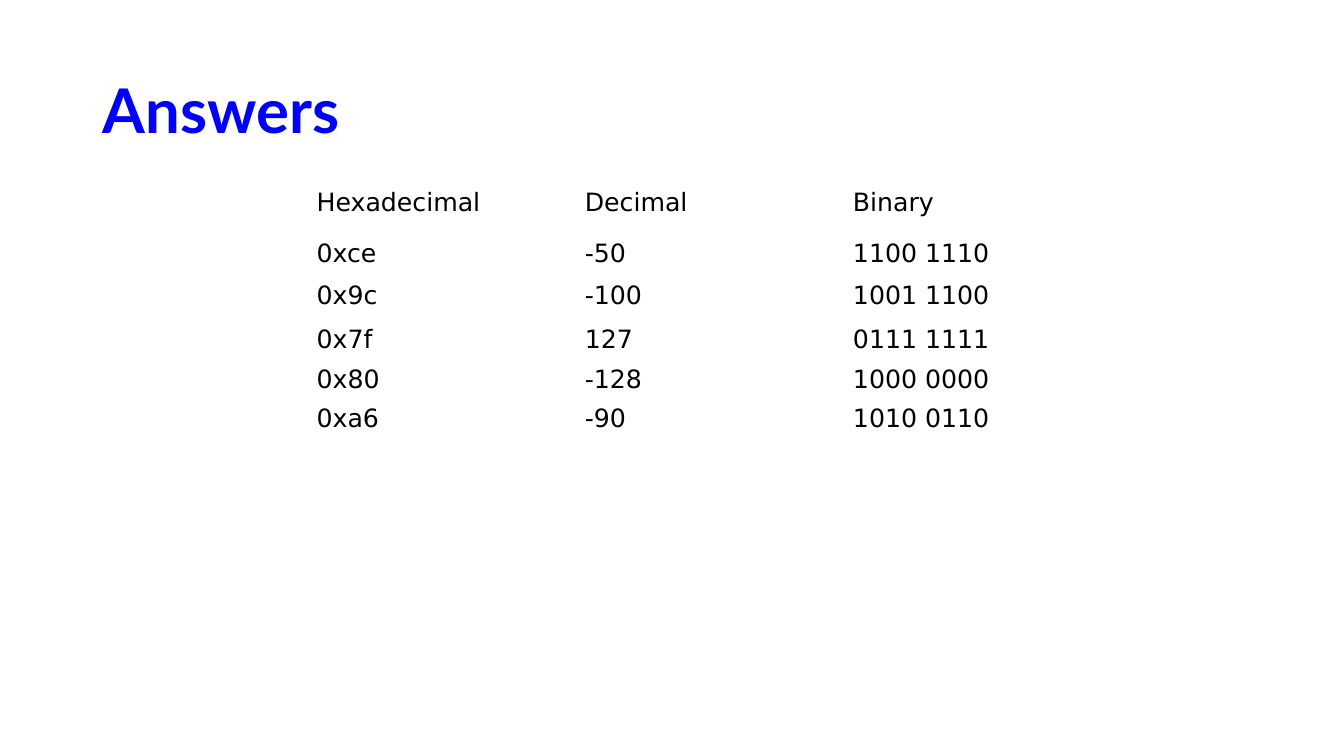
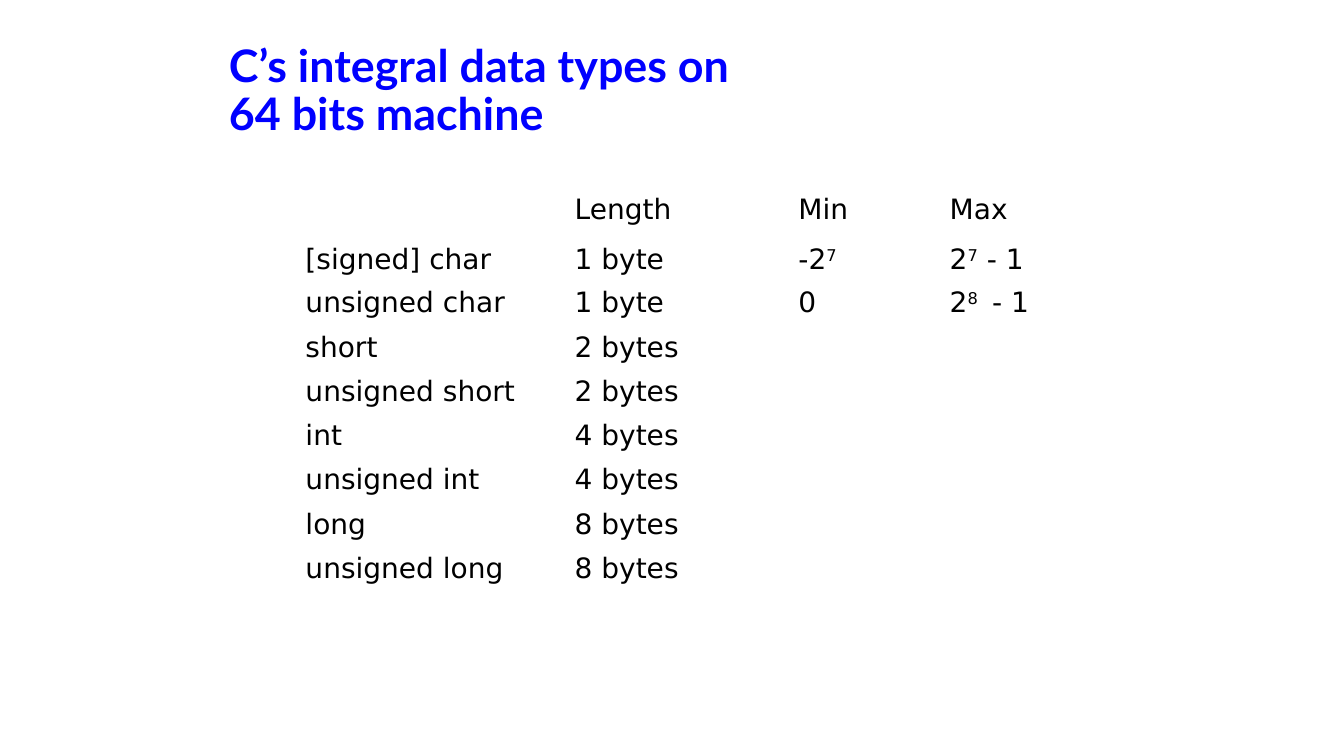
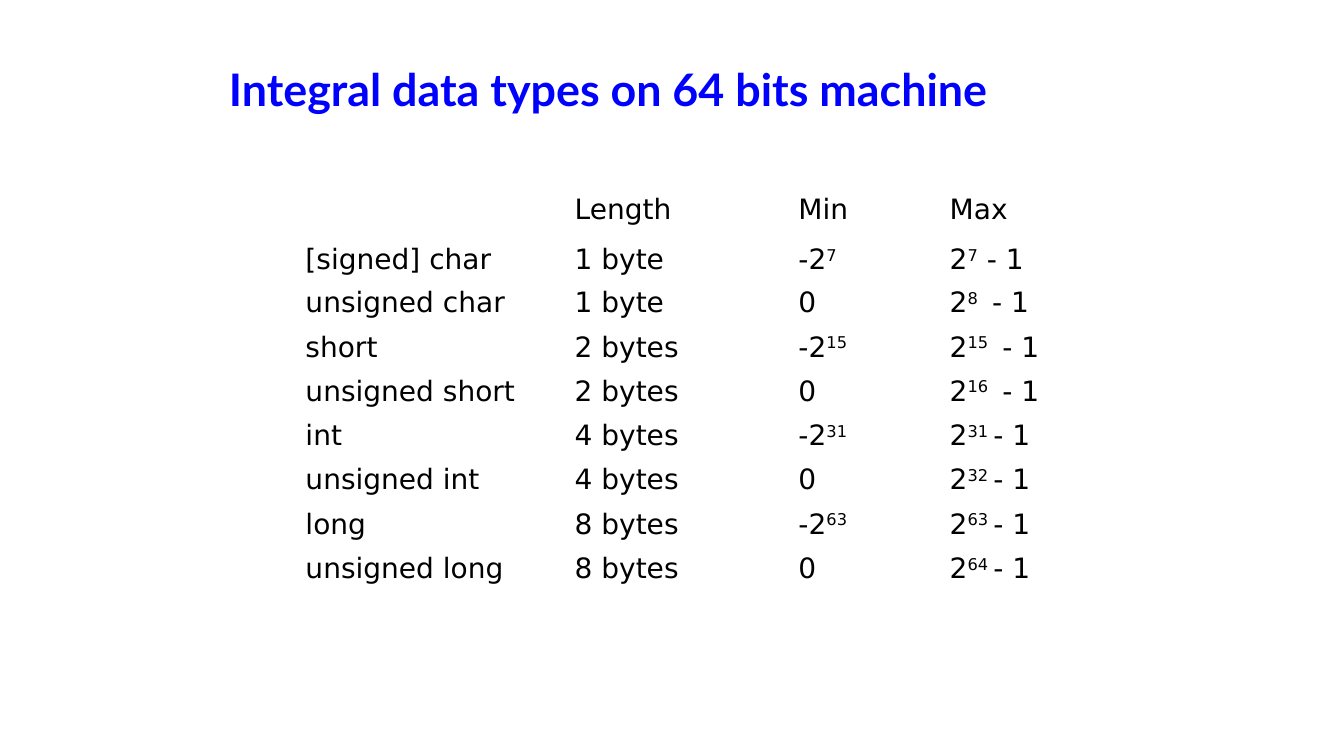
from dataclasses import dataclass

from pptx import Presentation
from pptx import util as u
from pptx.dml.color import RGBColor
from pptx.enum import text

PX = u.Inches(1) // 100


@dataclass(frozen=True)
class Theme:
    blue: RGBColor = RGBColor(0, 0, 255)
    black: RGBColor = RGBColor(0, 0, 0)
    head: str = "Lato"
    body: str = "DejaVu Sans"


theme = Theme()


def style(para, name, size, color, bold=False):
    font = para.font
    font.name, font.size, font.bold = name, u.Pt(size), bold
    font.color.rgb = color


def write(para, marked):
    """Add runs to a paragraph; text between carets is superscript."""
    for i, part in enumerate(marked.split("^")):
        if part:
            run = para.add_run()
            run.text = part
            if i % 2:
                run._r.get_or_add_rPr().set("baseline", "30000")


answers = [
    ("Hexadecimal", "Decimal", "Binary"),
    ("0xce", "-50", "1100 1110"),
    ("0x9c", "-100", "1001 1100"),
    ("0x7f", "127", "0111 1111"),
    ("0x80", "-128", "1000 0000"),
    ("0xa6", "-90", "1010 0110"),
]
ranges = [
    ("", "Length", "Min", "Max"),
    ("[signed] char", "1 byte", "-2^7", "2^7^ - 1"),
    ("unsigned char", "1 byte", "0", "2^8 ^ - 1"),
    ("short", "2 bytes", "-2^15", "2^15 ^ - 1"),
    ("unsigned short", "2 bytes", "0", "2^16 ^ - 1"),
    ("int", "4 bytes", "-2^31", "2^31 ^- 1"),
    ("unsigned int", "4 bytes", "0", "2^32 ^- 1"),
    ("long", "8 bytes", "-2^63", "2^63 ^- 1"),
    ("unsigned long", "8 bytes", "0", "2^64 ^- 1"),
]
# The exercise leaves the limits open after the two char types.
quiz = ranges[:3] + [row[:2] + ("", "") for row in ranges[3:]]

# Title box, title size, table corner, table text size, columns, rows
small = ((92, 40, 1150, 145), 44, (304, 182), 18,
         [266] * 3, [50, 42, 44, 39, 38, 38])
large = ((217, 29, 915, 125), 32, (293, 187), 20,
         [267, 222, 150, 129], [50, 42] + [44] * 7)

slides = [
    ("Answers", small, answers),
    ("C’s integral data types on \v64 bits machine", large, quiz),
    ("Integral data types on 64 bits machine", large, ranges),
]

prs = Presentation()
prs.slide_width, prs.slide_height = 1333 * PX, 750 * PX

for name, (box, big, spot, size, cols, rows), data in slides:
    slide = prs.slides.add_slide(prs.slide_layouts[5])

    title = slide.shapes.title
    title.left, title.top, title.width, title.height = [n * PX for n in box]
    frame = title.text_frame
    frame.text = name
    frame.word_wrap = True
    frame.auto_size = text.MSO_AUTO_SIZE.NONE
    frame.vertical_anchor = text.MSO_ANCHOR.MIDDLE
    para = frame.paragraphs[0]
    para.alignment = text.PP_ALIGN.LEFT
    para.line_spacing = 0.9
    style(para, theme.head, big, theme.blue, True)

    area = [n * PX for n in (*spot, sum(cols), sum(rows))]
    table = slide.shapes.add_table(len(rows), len(cols), *area).table
    table.first_row = table.horz_banding = False
    for col, width in zip(table.columns, cols):
        col.width = width * PX
    for row, height, line in zip(table.rows, rows, data):
        row.height = height * PX
        for cell, value in zip(row.cells, line):
            cell.fill.background()
            para = cell.text_frame.paragraphs[0]
            write(para, value)
            style(para, theme.body, size, theme.black)

prs.save("out.pptx")
